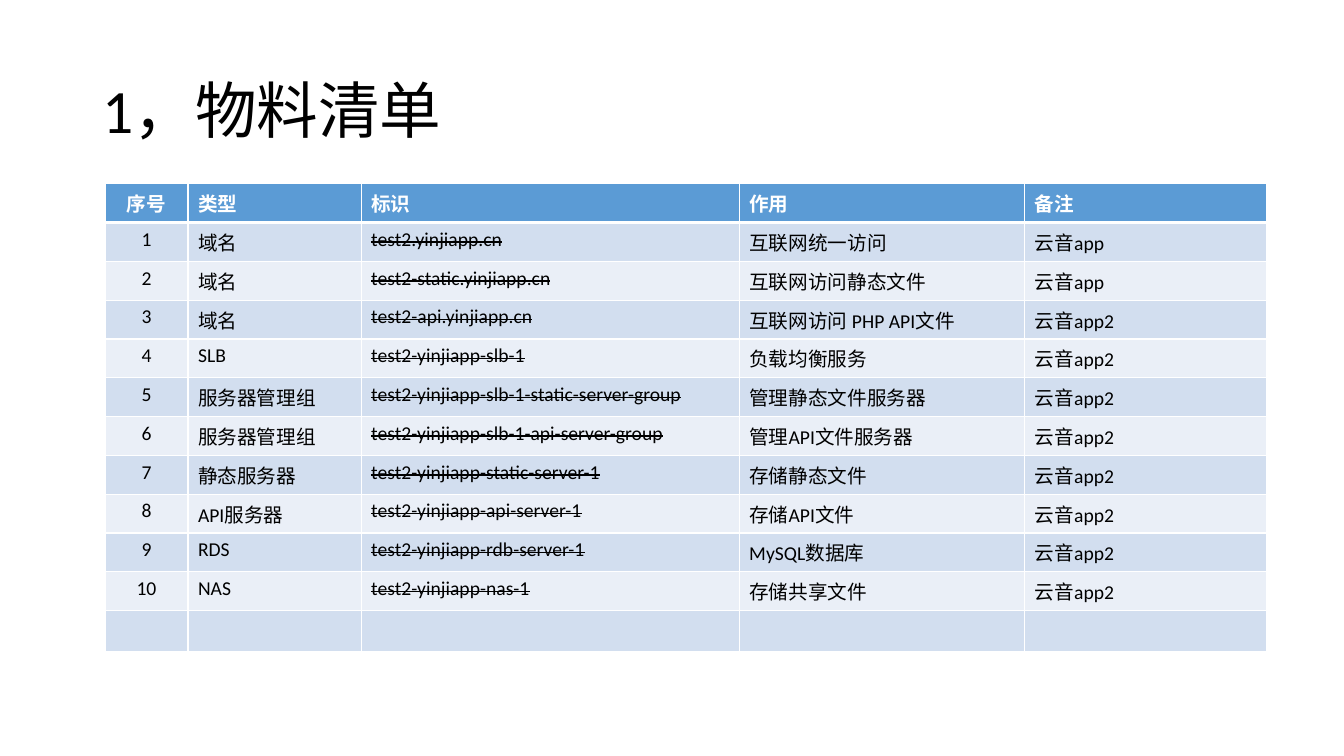
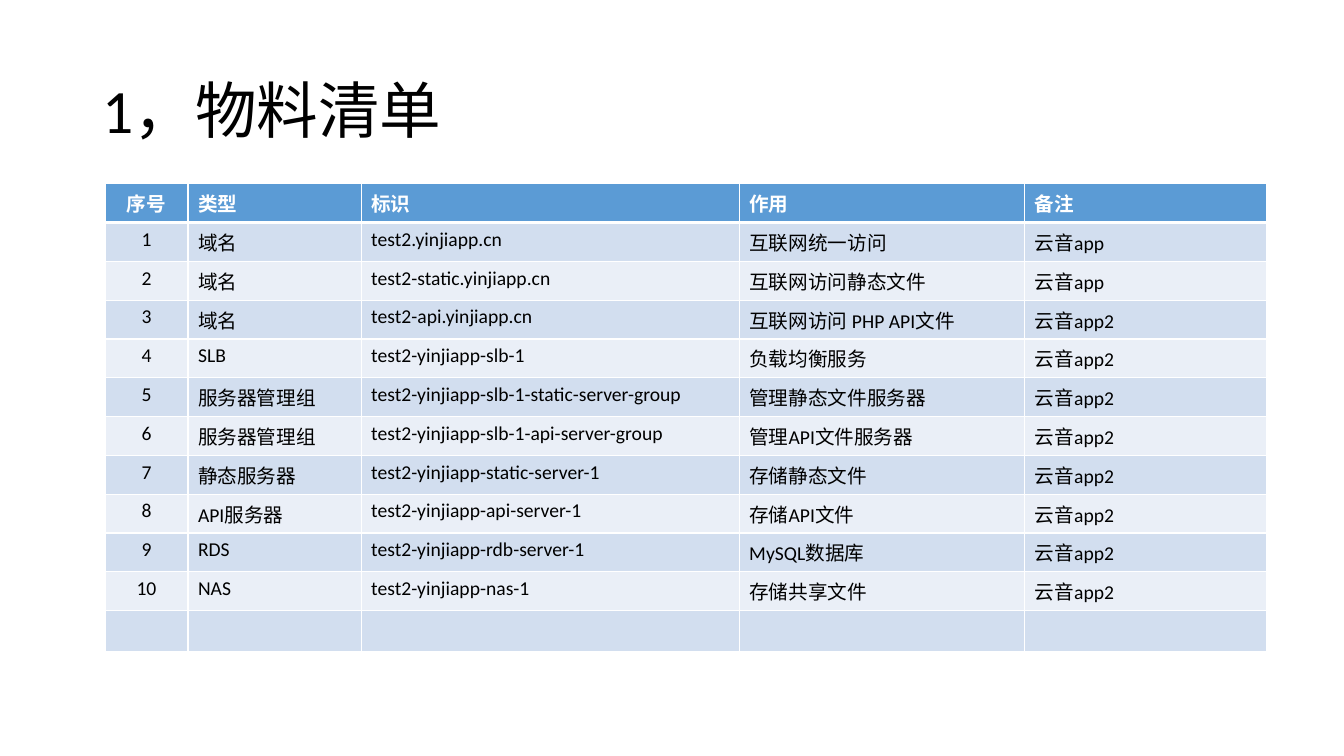
from lxml import etree
from pptx import Presentation
from pptx import util as u
from pptx.dml import color
from pptx.enum import text
from pptx.oxml import ns

PX = 9525
COLORS = {
    "ink": "000000",
    "paper": "FFFFFF",
    "header": "5B9BD5",
    "band_dark": "D2DEEF",
    "band_light": "EAEFF7",
}
FONT = "Calibri"
TITLE = "1，物料清单"
TITLE_BOX = (88, 39, 1104, 139)
TITLE_FORMAT = {"name": FONT, "size": u.Pt(44), "bold": False}
TABLE_ORIGIN = (100, 175)
COLUMN_WIDTHS = [79, 165, 360, 272, 230]
ROW_HEIGHT = 37
EMPTY_ROW_HEIGHT = 39
HEADER_FORMAT = {"name": FONT, "size": u.Pt(14), "bold": True}
ITEM_FORMAT = {**HEADER_FORMAT, "bold": False}
THIN, THICK = 1, 3
NUMBER_COLUMN, IDENTIFIER_COLUMN = 0, 2

HEADINGS = ["序号", "类型", "标识", "作用", "备注"]
ITEMS = [
    ("域名", "test2.yinjiapp.cn", "互联网统一访问", "云音app"),
    ("域名", "test2-static.yinjiapp.cn", "互联网访问静态文件", "云音app"),
    ("域名", "test2-api.yinjiapp.cn", "互联网访问 PHP API文件", "云音app2"),
    ("SLB", "test2-yinjiapp-slb-1", "负载均衡服务", "云音app2"),
    ("服务器管理组", "test2-yinjiapp-slb-1-static-server-group", "管理静态文件服务器", "云音app2"),
    ("服务器管理组", "test2-yinjiapp-slb-1-api-server-group", "管理API文件服务器", "云音app2"),
    ("静态服务器", "test2-yinjiapp-static-server-1", "存储静态文件", "云音app2"),
    ("API服务器", "test2-yinjiapp-api-server-1", "存储API文件", "云音app2"),
    ("RDS", "test2-yinjiapp-rdb-server-1", "MySQL数据库", "云音app2"),
    ("NAS", "test2-yinjiapp-nas-1", "存储共享文件", "云音app2"),
]


def px(*lengths):
    """Turn pixel lengths into EMU."""
    return [u.Emu(length * PX) for length in lengths]


def rgb(name):
    """Look up a named colour."""
    return color.RGBColor.from_string(COLORS[name])


def write(paragraph, words, formats, color_name):
    """Add one formatted run to a paragraph and return it."""
    run = paragraph.add_run()
    run.text = words
    for attribute, value in formats.items():
        setattr(run.font, attribute, value)
    run.font.color.rgb = rgb(color_name)
    return run


def set_borders(cell, top, bottom):
    """Draw white borders around a cell, with widths in points."""
    properties = cell._tc.get_or_add_tcPr()
    for tag, width in {"lnL": THIN, "lnR": THIN, "lnT": top, "lnB": bottom}.items():
        line = etree.SubElement(properties, ns.qn(f"a:{tag}"), w=str(u.Pt(width)))
        fill = etree.SubElement(line, ns.qn("a:solidFill"))
        etree.SubElement(fill, ns.qn("a:srgbClr"), val=COLORS["paper"])


def add_title(slide, box):
    """Place the slide title in its box."""
    frame = slide.shapes.add_textbox(*px(*box)).text_frame
    frame.word_wrap = True
    frame.vertical_anchor = text.MSO_ANCHOR.MIDDLE
    paragraph = frame.paragraphs[0]
    paragraph.line_spacing = 0.9
    write(paragraph, TITLE, TITLE_FORMAT, "ink")


def fill_cell(cell, row, column, words, struck):
    """Style one table cell by its row and column, and write its words."""
    is_header = row == 0
    set_borders(cell, THICK if row == 1 else THIN, THICK if is_header else THIN)
    band = "header" if is_header else ("band_light", "band_dark")[row % 2]
    cell.fill.solid()
    cell.fill.fore_color.rgb = rgb(band)
    if not words:
        return
    paragraph = cell.text_frame.paragraphs[0]
    if column == NUMBER_COLUMN:
        paragraph.alignment = text.PP_ALIGN.CENTER
    formats = HEADER_FORMAT if is_header else ITEM_FORMAT
    run = write(paragraph, words, formats, "paper" if is_header else "ink")
    if struck and column == IDENTIFIER_COLUMN and not is_header:
        run._r.get_or_add_rPr().set("strike", "sngStrike")


def add_materials_table(slide, origin, struck):
    """Place the materials table, ending with an empty row."""
    numbered = [(str(number), *item) for number, item in enumerate(ITEMS, 1)]
    rows = [HEADINGS, *numbered, [""] * len(HEADINGS)]
    heights = [ROW_HEIGHT] * (len(rows) - 1) + [EMPTY_ROW_HEIGHT]
    box = px(*origin, sum(COLUMN_WIDTHS), sum(heights))
    table = slide.shapes.add_table(len(rows), len(HEADINGS), *box).table
    for column, width in zip(table.columns, px(*COLUMN_WIDTHS)):
        column.width = width
    for row, height in zip(table.rows, px(*heights)):
        row.height = height
    for row, values in enumerate(rows):
        for column, words in enumerate(values):
            fill_cell(table.cell(row, column), row, column, words, struck)


def add_materials_slide(presentation, struck):
    """Add a materials slide, with its identifiers struck out or plain."""
    slide = presentation.slides.add_slide(presentation.slide_layouts[6])
    add_title(slide, TITLE_BOX)
    add_materials_table(slide, TABLE_ORIGIN, struck)


def main():
    """Build and save the presentation."""
    presentation = Presentation()
    presentation.slide_width, presentation.slide_height = px(1280, 720)
    for struck in (True, False):
        add_materials_slide(presentation, struck)
    presentation.save("out.pptx")


if __name__ == "__main__":
    main()
